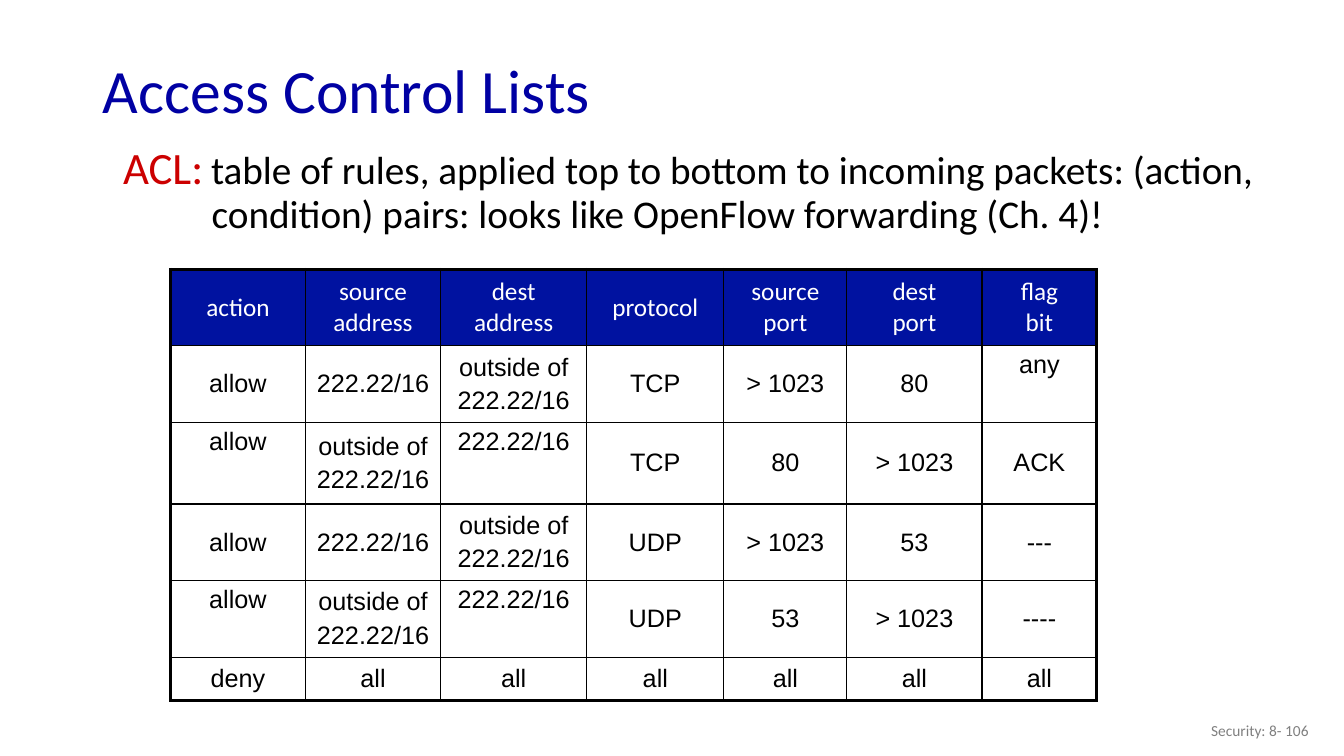
import pptx
import pptx.util
import pptx.dml.color
import pptx.enum.text
import pptx.oxml
import pptx.oxml.ns

Inches, Pt = pptx.util.Inches, pptx.util.Pt
RGBColor = pptx.dml.color.RGBColor
ALIGN = pptx.enum.text.PP_ALIGN
ANCHOR = pptx.enum.text.MSO_ANCHOR

TITLE_BLUE = RGBColor(0x00, 0x00, 0xA3)
HEADER_BLUE = RGBColor(0x00, 0x12, 0xA0)
RED = RGBColor(0xCC, 0x00, 0x00)
GRAY = RGBColor(0x80, 0x80, 0x80)
BLACK = RGBColor(0x00, 0x00, 0x00)
WHITE = RGBColor(0xFF, 0xFF, 0xFF)

COL_WIDTHS = [1.34, 1.34, 1.45, 1.36, 1.22, 1.34, 1.14]
ROW_HEIGHTS = [0.76, 0.76, 0.81, 0.76, 0.76, 0.43]
INSIDE = "222.22/16"
OUTSIDE = "outside of\n222.22/16"
RULES = [
    ["action", "source\naddress", "dest\naddress", "protocol",
     "source\nport", "dest\nport", "flag\nbit"],
    ["allow", INSIDE, OUTSIDE, "TCP", "> 1023", "80", "any"],
    ["allow", OUTSIDE, INSIDE, "TCP", "80", "> 1023", "ACK"],
    ["allow", INSIDE, OUTSIDE, "UDP", "> 1023", "53", "---"],
    ["allow", OUTSIDE, INSIDE, "UDP", "53", "> 1023", "----"],
    ["deny"] + ["all"] * 6,
]
TOP_ALIGNED = {(1, 6), (2, 0), (2, 2), (4, 0), (4, 2)}


class SlideBuilder:
    heading_font = "Calibri"
    table_font = "Arial"
    thick, thin = 2.25, 1

    def __init__(self, prs):
        self.s = prs.slides.add_slide(prs.slide_layouts[1])

    def place(self, sp, left, top, width, height):
        sp.left, sp.top = Inches(left), Inches(top)
        sp.width, sp.height = Inches(width), Inches(height)
        tf = sp.text_frame
        tf.word_wrap = True
        tf.auto_size = pptx.enum.text.MSO_AUTO_SIZE.NONE
        return tf

    def style(self, r, size, color, font=None):
        r.font.size = Pt(size)
        r.font.color.rgb = color
        r.font.name = font or self.heading_font

    def title(self, text, *box):
        tf = self.place(self.s.shapes.title, *box)
        tf.text = text
        tf.vertical_anchor = ANCHOR.MIDDLE
        p = tf.paragraphs[0]
        p.alignment = ALIGN.LEFT
        p.line_spacing = 0.9
        self.style(p.runs[0], 44, TITLE_BLUE)

    def definition(self, parts, indent, *box):
        """Fill the body with one hanging paragraph of (text, size, color) runs."""
        tf = self.place(self.s.placeholders[1], *box)
        p = tf.paragraphs[0]
        p.line_spacing = 0.9
        p.space_before = Pt(4)
        pPr = p._p.get_or_add_pPr()
        pPr.set("marL", str(Inches(indent)))
        pPr.set("indent", str(-Inches(indent)))
        pPr.append(pptx.oxml.parse_xml(
            f"<a:buNone {pptx.oxml.ns.nsdecls('a')}/>"))
        for text, size, color in parts:
            r = p.add_run()
            r.text = text
            self.style(r, size, color)

    def footer(self, text, *box):
        tf = self.place(self.s.shapes.add_textbox(0, 0, 0, 0), *box)
        tf.text = text
        tf.vertical_anchor = ANCHOR.MIDDLE
        p = tf.paragraphs[0]
        p.alignment = ALIGN.RIGHT
        self.style(p.runs[0], 11, GRAY)

    def borders(self, cell, widths):
        tcPr = cell._tc.get_or_add_tcPr()
        for side, width in zip("LRTB", widths):
            tcPr.append(pptx.oxml.parse_xml(
                f"<a:ln{side} {pptx.oxml.ns.nsdecls('a')} w='{Pt(width)}'>"
                f"<a:solidFill><a:srgbClr val='{BLACK}'/></a:solidFill>"
                f"</a:ln{side}>"))

    def cell(self, cell, text, header, anchor):
        cell.text_frame.text = text
        cell.vertical_anchor = anchor
        if header:
            cell.fill.solid()
            cell.fill.fore_color.rgb = HEADER_BLUE
        else:
            cell.fill.background()
        for p in cell.text_frame.paragraphs:
            p.alignment = ALIGN.CENTER
            if header:
                self.style(p.runs[0], 18, WHITE)
            else:
                p.space_before = Pt(3.6)
                self.style(p.runs[0], 18, BLACK, self.table_font)

    def table(self, rows, col_widths, row_heights, top_aligned, left, top):
        table = self.s.shapes.add_table(
            len(rows), len(col_widths), Inches(left), Inches(top),
            Inches(sum(col_widths)), Inches(sum(row_heights))).table
        table.first_row = table.horz_banding = False
        for column, width in zip(table.columns, col_widths):
            column.width = Inches(width)
        last_row, last_col = len(rows) - 1, len(col_widths) - 1
        for i, row in enumerate(rows):
            table.rows[i].height = Inches(row_heights[i])
            for j, text in enumerate(row):
                outer = (j == 0, j == last_col, i == 0, i == last_row)
                cell = table.cell(i, j)
                self.borders(cell, [self.thick if edge else self.thin
                                    for edge in outer])
                anchor = ANCHOR.TOP if (i, j) in top_aligned else ANCHOR.MIDDLE
                self.cell(cell, text, i == 0, anchor)


def main():
    prs = pptx.Presentation()
    prs.slide_width, prs.slide_height = Inches(13.33), Inches(7.5)
    slide = SlideBuilder(prs)
    slide.title("Access Control Lists", 0.92, 0.44, 11.5, 0.98)
    slide.definition([
        ("ACL:", 32, RED),
        (" ", 24, RED),
        ("table of rules, applied top to bottom to incoming packets: (action, "
         "condition) pairs: looks like OpenFlow forwarding (Ch. 4)!", 28, BLACK),
    ], 0.88, 1.12, 1.4, 11.5, 1.11)
    slide.table(RULES, COL_WIDTHS, ROW_HEIGHTS, TOP_ALIGNED, 1.69, 2.67)
    slide.footer("Security: 8- 106", 10.08, 7.05, 3, 0.4)
    prs.save("out.pptx")


if __name__ == "__main__":
    main()
